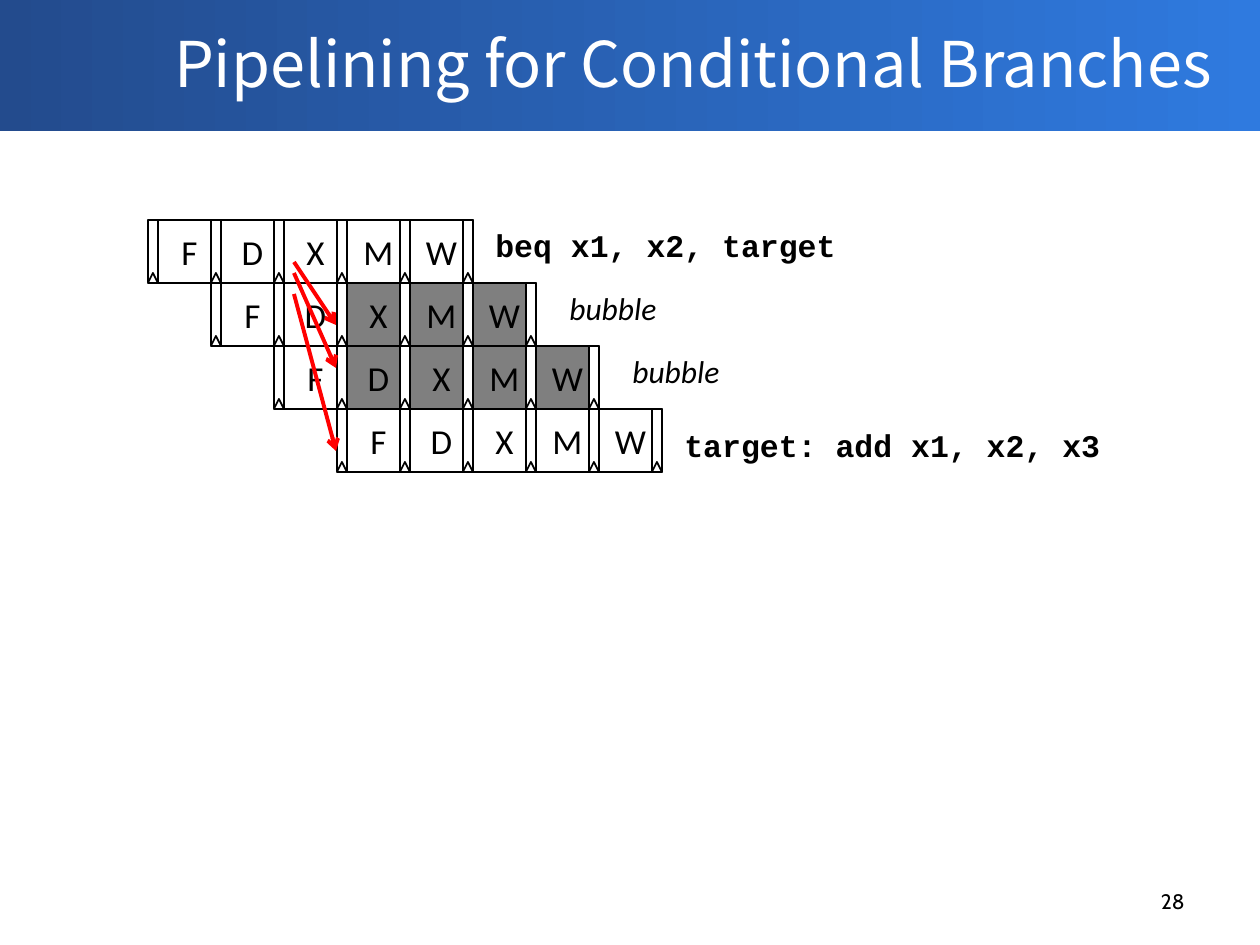
import dataclasses

import lxml.etree
import pptx
import pptx.dml.color
import pptx.enum.dml
import pptx.enum.shapes
import pptx.enum.text
import pptx.oxml.ns
import pptx.util

PX = 7257  # EMU in one px, 126 px to the inch


@dataclasses.dataclass(frozen=True)
class Theme:
    header_left = pptx.dml.color.RGBColor(0x23, 0x4B, 0x8D)
    header_right = pptx.dml.color.RGBColor(0x2F, 0x7A, 0xDF)
    white = pptx.dml.color.RGBColor(0xFF, 0xFF, 0xFF)
    black = pptx.dml.color.RGBColor(0x00, 0x00, 0x00)
    bubble = pptx.dml.color.RGBColor(0x7F, 0x7F, 0x7F)
    arrow = pptx.dml.color.RGBColor(0xFF, 0x00, 0x00)
    title_font, title_size = "Noto Sans CJK SC", 36
    number_font, number_size = "Cabin", 12
    body_font, code_font = "Calibri", "Courier New"
    stage_size, label_size = 20, 18


theme = Theme()
shape_kind = pptx.enum.shapes.MSO_SHAPE
align = pptx.enum.text.PP_ALIGN
middle = pptx.enum.text.MSO_ANCHOR.MIDDLE

presentation = pptx.Presentation()
presentation.slide_width = 1260 * PX
presentation.slide_height = 945 * PX
slide = presentation.slides.add_slide(presentation.slide_layouts[5])
shapes = slide.shapes


def add_block(kind, left, top, width, height, fill):
    shape = shapes.add_shape(kind, left * PX, top * PX, width * PX, height * PX)
    shape.shadow.inherit = False
    shape.fill.solid()
    shape.fill.fore_color.rgb = fill
    shape.line.color.rgb = theme.black
    shape.line.width = pptx.util.Pt(1)
    return shape


def write(shape, text, font, size, alignment, color=theme.black, bold=False, italic=False):
    paragraph = shape.text_frame.paragraphs[0]
    paragraph.alignment = alignment
    run = paragraph.add_run()
    run.text = text
    run.font.name = font
    run.font.size = pptx.util.Pt(size)
    run.font.color.rgb = color
    run.font.bold = bold
    run.font.italic = italic


# Header band, kept behind the title
header = add_block(shape_kind.RECTANGLE, 0, -4, 1260, 135, theme.white)
header.line.fill.background()
header.fill.gradient()
header.fill.gradient_angle = 0
for stop, color in zip(header.fill.gradient_stops, (theme.header_left, theme.header_right)):
    stop.color.rgb = color
header.fill.gradient_stops[0].position = 0
header.fill.gradient_stops[1].position = 1
shapes.title.element.addprevious(header.element)

# Title
title = shapes.title
title.left, title.top, title.width, title.height = 126 * PX, 0, 1134 * PX, 125 * PX
title.text_frame.vertical_anchor = middle
title.text_frame.auto_size = pptx.enum.text.MSO_AUTO_SIZE.NONE
write(title, "Pipelining for Conditional Branches", theme.title_font, theme.title_size,
      align.CENTER, theme.white)

# Slide number
number = shapes.add_textbox(903 * PX, 876 * PX, 294 * PX, 50 * PX)
number.text_frame.word_wrap = True
number.text_frame.vertical_anchor = middle
write(number, "28", theme.number_font, theme.number_size, align.RIGHT)

# Pipeline: each instruction starts one stage later and one row lower
STAGES = "FDXMW"
STAGE = 63
REGISTER_WIDTH, REGISTER_HEIGHT = 10, 62
FIRST_LEFT, FIRST_TOP = 158, 220

# label, left, top, width, is code, first stage that is a bubble
instructions = [
    ("beq x1, x2, target", 483, 220, 369, True, 5),
    ("bubble", 557, 283, 121, False, 2),
    ("bubble", 620, 346, 121, False, 1),
    ("target: add x1, x2, x3", 672, 420, 445, True, 5),
]

for row, (label, label_left, label_top, label_width, is_code, first_bubble) in enumerate(instructions):
    left = FIRST_LEFT + row * STAGE
    top = FIRST_TOP + row * STAGE

    # Stages
    for column, letter in enumerate(STAGES):
        fill = theme.bubble if column >= first_bubble else theme.white
        stage = add_block(shape_kind.RECTANGLE, left + column * STAGE, top, STAGE, STAGE, fill)
        frame = stage.text_frame
        frame.margin_left = frame.margin_right = frame.margin_top = frame.margin_bottom = 0
        frame.vertical_anchor = middle
        write(stage, letter, theme.body_font, theme.stage_size, align.CENTER)

    # Pipeline registers with clock marks, before and after every stage
    for boundary in range(len(STAGES) + 1):
        edge = left + boundary * STAGE
        register = add_block(
            shape_kind.RECTANGLE,
            edge - (REGISTER_WIDTH + REGISTER_HEIGHT) // 2,
            top + (STAGE - REGISTER_WIDTH) // 2,
            REGISTER_HEIGHT, REGISTER_WIDTH, theme.white)
        register.rotation = 270
        add_block(shape_kind.ISOSCELES_TRIANGLE, edge - REGISTER_WIDTH,
                  top + STAGE - REGISTER_WIDTH, REGISTER_WIDTH, REGISTER_WIDTH, theme.white)

    # Instruction label
    text_box = shapes.add_textbox(label_left * PX, label_top * PX, label_width * PX, 50 * PX)
    text_box.text_frame.word_wrap = False
    write(text_box, label, theme.code_font if is_code else theme.body_font,
          theme.label_size, align.LEFT, bold=is_code, italic=not is_code)

# Arrows from the branch's X stage to the later instructions
for start_top, end_top in ((273, 368), (262, 325), (294, 451)):
    connector = shapes.add_connector(pptx.enum.shapes.MSO_CONNECTOR.STRAIGHT,
                                     294 * PX, start_top * PX, 336 * PX, end_top * PX)
    connector.line.color.rgb = theme.arrow
    connector.line.width = pptx.util.Pt(2.25)
    line = connector.line._get_or_add_ln()
    lxml.etree.SubElement(line, pptx.oxml.ns.qn("a:tailEnd"), type="arrow")
    lxml.etree.SubElement(connector.element.spPr, pptx.oxml.ns.qn("a:effectLst"))

presentation.save("out.pptx")
